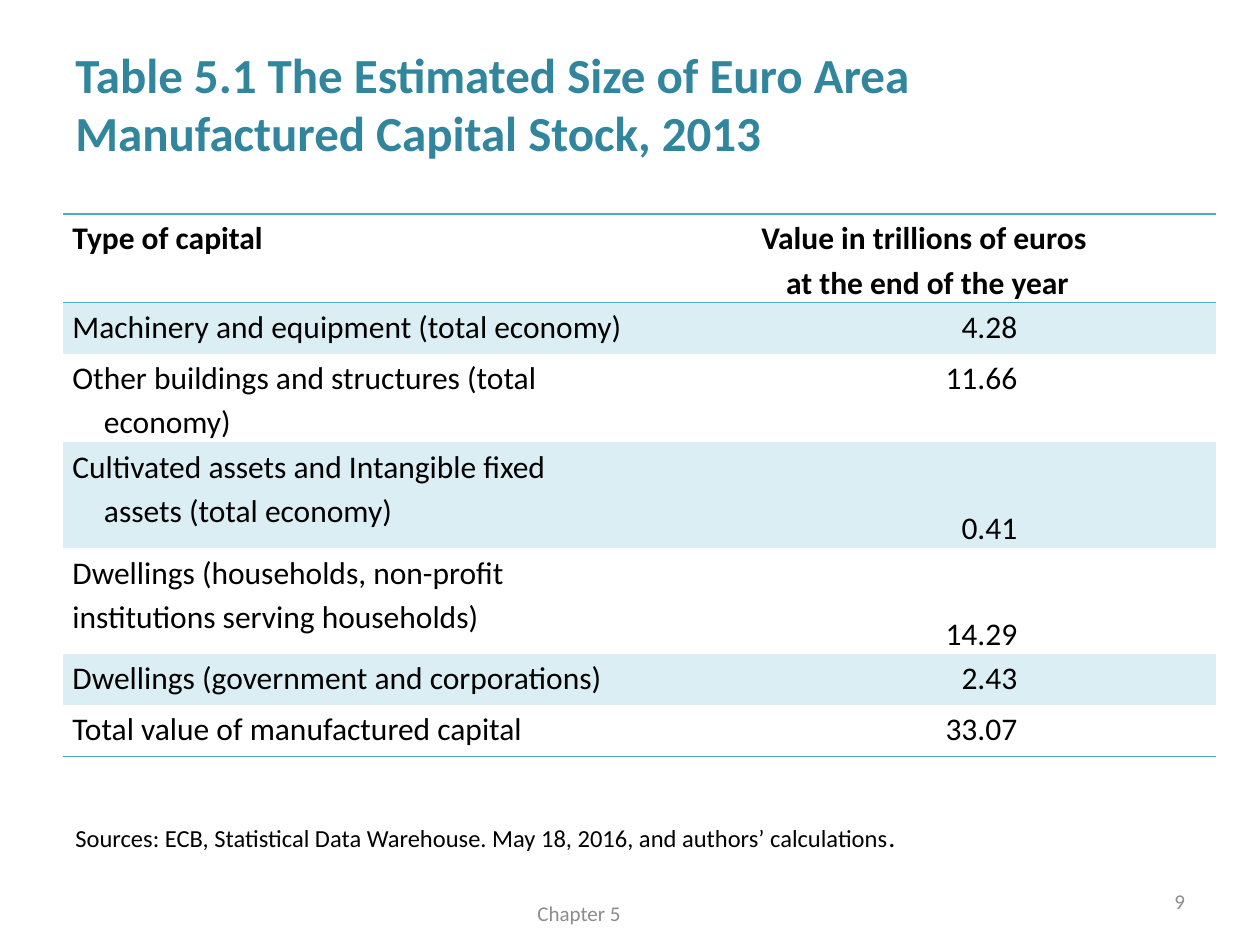
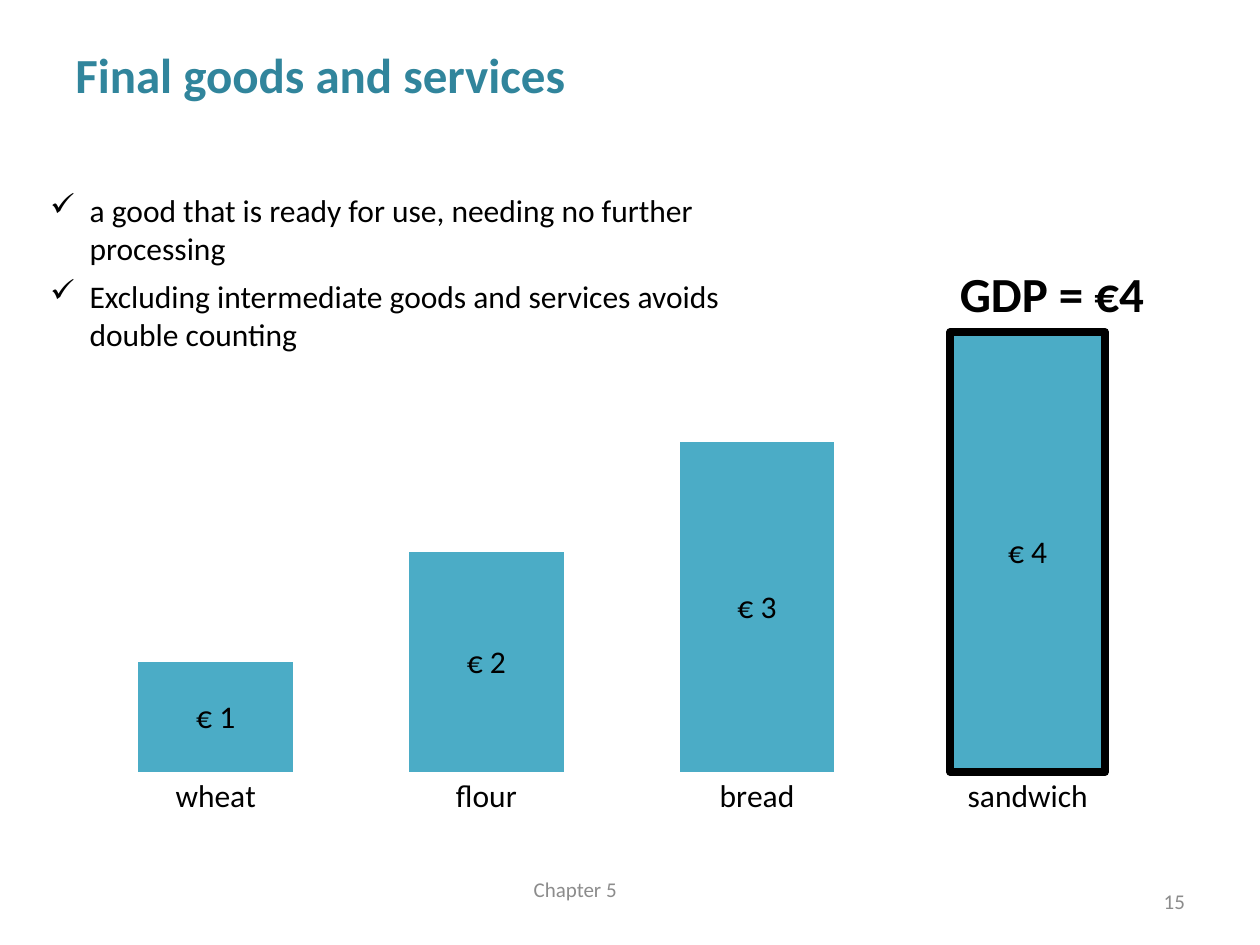
"""Two slides on capital stock and final goods."""
from dataclasses import dataclass

from lxml.etree import SubElement
from pptx import Presentation
from pptx.chart.data import CategoryChartData
from pptx.dml.color import RGBColor as RGB
from pptx.enum.chart import XL_CHART_TYPE as CT, XL_LABEL_POSITION as LP, XL_TICK_MARK as TM
from pptx.enum.text import MSO_ANCHOR as MA, PP_ALIGN as PA
from pptx.oxml.ns import qn
from pptx.util import Pt


@dataclass(frozen=True)
class Theme:
    """Colours and type sizes."""
    font: str = "Calibri"
    title: str = "31859C"
    accent: str = "4BACC6"
    band: str = "DBEEF4"
    ink: str = "000000"
    muted: str = "8C8C8C"
    heading: int = 28
    body: int = 18
    source: int = 14
    stop: int = 16
    small: int = 12


T = Theme()
NO_GRID = "{2D5ABB26-0587-4C30-8999-92F81FD0307C}"
EURO = r"[$€-2]\ #,##0;[Red]\-[$€-2]\ #,##0"
PROSE = {"line_spacing": 1.15, "space_after": Pt(10)}

HEADER = ("Type of capital", "Value in trillions of euros \nat the end of the year")
CAPITAL = [
    ("Machinery and equipment (total economy)", "4.28", 29.2, True),
    ("Other buildings and structures (total economy)", "11.66", 50.6, True),
    ("Cultivated assets and Intangible fixed assets (total economy)", "0.41", 60.5, True),
    ("Dwellings (households, non-profit institutions serving households)", "14.29", 60.5, False),
    ("Dwellings (government and corporations)", "2.43", 29.2, True),
    ("Total value of manufactured capital", "33.07", 29.2, True),
]
STAGES = {"wheat": 1, "flour": 2, "bread": 3, "sandwich": 4}
POINTS = (
    "a good that is ready for use, needing no further processing",
    "Excluding intermediate goods and services avoids double counting",
)


def assign(obj, **values):
    """Set each named attribute on obj."""
    for name, value in values.items():
        setattr(obj, name, value)


def style_font(font, size, color=T.ink, bold=False):
    """Apply the theme typeface with a size and colour."""
    assign(font, name=T.font, size=Pt(size), bold=bold)
    font.color.rgb = RGB.from_string(color)


def write(p, text, size=T.body, color=T.ink, bold=False, **fmt):
    """Add text to a paragraph, one run per line."""
    assign(p, **fmt)
    for i, line in enumerate(text.split("\n")):
        if i:
            p.add_line_break()
        r = p.add_run()
        r.text = line
        style_font(r.font, size, color, bold)


def indent(p, left, first):
    """Set the left margin and first-line indent in points."""
    pPr = p._p.get_or_add_pPr()
    pPr.set("marL", str(Pt(left)))
    pPr.set("indent", str(Pt(first)))
    return pPr


def text_box(s, box, anchor=MA.TOP):
    """Add a wrapping text box and return its frame."""
    tf = s.shapes.add_textbox(*map(Pt, box)).text_frame
    assign(tf, word_wrap=True, vertical_anchor=anchor)
    return tf


def frame(s, title, number, chapter_box):
    """Add the title, chapter footer and slide number."""
    write(text_box(s, (36, 21.6, 648, 61.2)).paragraphs[0], title, T.heading, T.title, True)
    for box, text, align in (
        (chapter_box, "Chapter 5", PA.CENTER),
        ((516.2, 500.4, 168, 28.8), number, PA.RIGHT),
    ):
        write(text_box(s, box, MA.MIDDLE).paragraphs[0], text, T.small, T.muted, alignment=align)


def rule(cell, *sides):
    """Draw accent lines on the given cell sides."""
    tcPr = cell._tc.get_or_add_tcPr()
    for i, side in enumerate(sides):
        ln = tcPr.makeelement(qn(f"a:{side}"), {"w": str(Pt(1))})
        fill = SubElement(ln, qn("a:solidFill"))
        SubElement(fill, qn("a:srgbClr"), val=T.accent)
        tcPr.insert(i, ln)


def capital_table(s, box):
    """Add the banded table of capital values."""
    x, y, w, h = map(Pt, box)
    tbl = s.shapes.add_table(len(CAPITAL) + 1, 3, x, y, w, h).table
    assign(tbl, first_row=False, horz_banding=False)
    tbl._tbl.tblPr.find(qn("a:tableStyleId")).text = NO_GRID
    for col, share in zip(tbl.columns, (0.5, 0.336, 0.164)):
        col.width = int(w * share)
    rows = [(*HEADER, 50.6, False), *CAPITAL]
    for i, (label, value, height, hanging) in enumerate(rows):
        tbl.rows[i].height = Pt(height)
        cells = list(tbl.rows[i].cells)
        for cell in cells:
            assign(cell, margin_left=Pt(5.4), margin_right=Pt(5.4), margin_top=0, margin_bottom=0)
            if i % 2:
                cell.fill.solid()
                cell.fill.fore_color.rgb = RGB.from_string(T.band)
            else:
                cell.fill.background()
            if i == 0:
                rule(cell, "lnT", "lnB")
            elif i == len(CAPITAL):
                rule(cell, "lnB")
        name, amount, spare = cells
        p = name.text_frame.paragraphs[0]
        write(p, label, bold=i == 0, **PROSE)
        if hanging:
            indent(p, 18, -18)
        if i == 0:
            amount.merge(spare)
        elif height > 60:
            amount.vertical_anchor = MA.BOTTOM
        write(amount.text_frame.paragraphs[0], value, bold=i == 0,
              alignment=PA.RIGHT if i else PA.CENTER, **PROSE)


def source_note(s, box):
    """Add the source line below the table."""
    p = text_box(s, box).paragraphs[0]
    write(p, "Sources: ECB, Statistical Data Warehouse. May 18, 2016, and authors’ calculations",
          T.source, alignment=PA.JUSTIFY, **PROSE)
    write(p, ".", T.stop)


def plot_layout(chart, **shares):
    """Fix the inner plot area as shares of the chart."""
    area = chart._chartSpace.chart.plotArea
    for old in area.findall(qn("c:layout")):
        area.remove(old)
    layout = area.makeelement(qn("c:layout"), {})
    area.insert(0, layout)
    manual = SubElement(layout, qn("c:manualLayout"))
    values = {"layoutTarget": "inner", "xMode": "edge", "yMode": "edge", **shares}
    for tag, value in values.items():
        SubElement(manual, qn(f"c:{tag}"), val=str(value))


def stage_chart(s, box):
    """Add the columns of value by production stage."""
    data = CategoryChartData()
    data.categories = list(STAGES)
    data.add_series("Series 1", list(STAGES.values()))
    chart = s.shapes.add_chart(CT.COLUMN_STACKED, *map(Pt, box), data).chart
    assign(chart, has_legend=False, has_title=False)
    style_font(chart.font, T.body)
    assign(chart.value_axis, visible=False, has_major_gridlines=False,
           minimum_scale=0, maximum_scale=4.5)
    assign(chart.category_axis, major_tick_mark=TM.NONE)
    chart.category_axis.format.line.fill.background()
    plot = chart.plots[0]
    assign(plot, gap_width=75, overlap=100, vary_by_categories=False, has_data_labels=True)
    assign(plot.data_labels, show_value=True, number_format=EURO,
           number_format_is_linked=False, position=LP.CENTER)
    style_font(plot.data_labels.font, T.body)
    final = len(STAGES) - 1
    for fmt in (plot.series[0].format, plot.series[0].points[final].format):
        fmt.fill.solid()
        fmt.fill.fore_color.rgb = RGB.from_string(T.accent)
    fmt.line.width = Pt(4.5)
    fmt.line.color.rgb = RGB.from_string(T.ink)
    plot_layout(chart, x=0.02, y=0.02, w=0.96, h=0.885)


def check_list(s, box):
    """Add the tick-marked points."""
    tf = text_box(s, box)
    for i, text in enumerate(POINTS):
        p = tf.add_paragraph() if i else tf.paragraphs[0]
        write(p, text, space_after=Pt(6))
        SubElement(indent(p, 58.5, -22.5), qn("a:buChar"), char="✓")


def capital_slide(s):
    """Build the capital stock slide."""
    frame(s, "Table 5.1 The Estimated Size of Euro Area \nManufactured Capital Stock, 2013",
          "9", (157, 507.6, 347.8, 28.8))
    capital_table(s, (36, 122.4, 658.8, 309.8))
    source_note(s, (36, 462.2, 671.8, 28.8))


def goods_slide(s):
    """Build the final goods slide."""
    frame(s, "Final goods and services", "15", (154.8, 493.9, 347.8, 28.8))
    stage_chart(s, (33.1, 151.9, 644.4, 319.7))
    write(text_box(s, (541.4, 146.9, 203.8, 41)).paragraphs[0], "GDP = €4", T.heading, bold=True)
    check_list(s, (-14.4, 105.8, 475.9, 122.4))


def main():
    """Build and save the deck."""
    prs = Presentation()
    assign(prs, slide_width=Pt(720), slide_height=Pt(540))
    for build in (capital_slide, goods_slide):
        build(prs.slides.add_slide(prs.slide_layouts[6]))
    prs.save("out.pptx")


if __name__ == "__main__":
    main()
